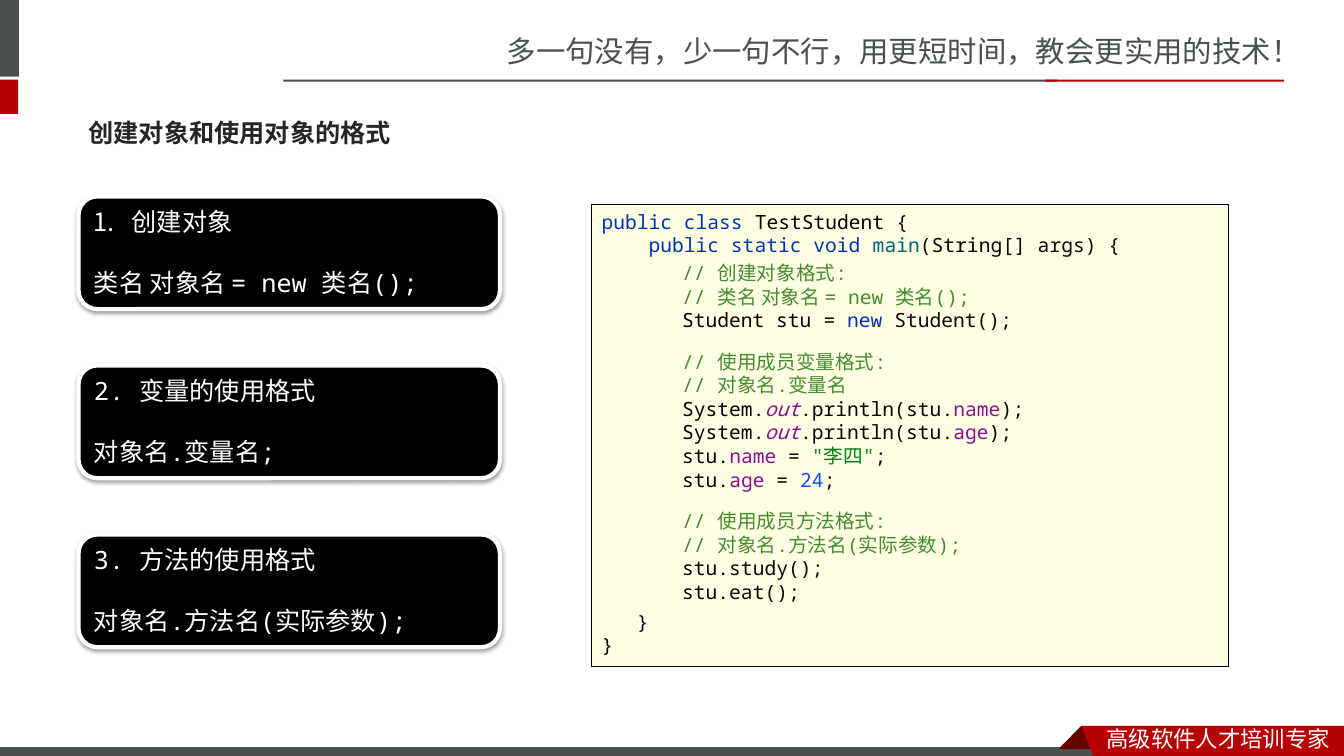
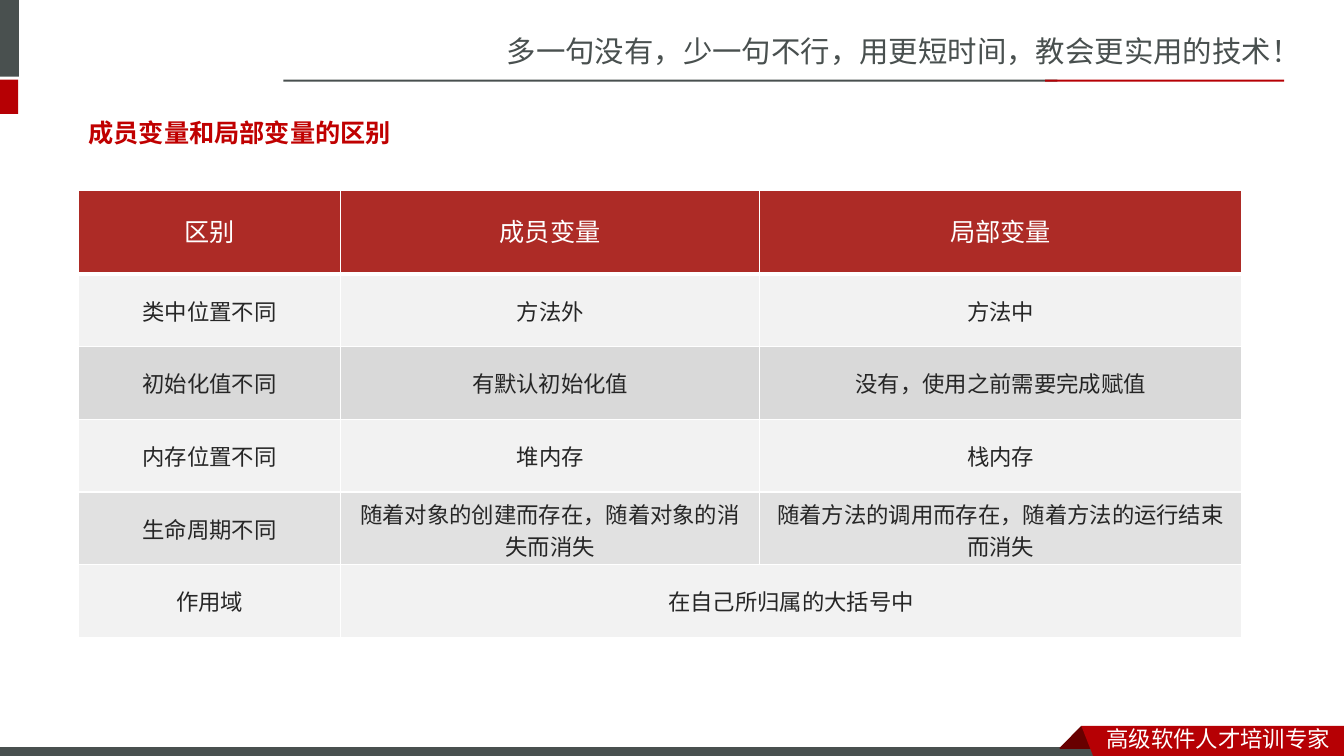
"""Build two slides on Java objects: usage formats and a comparison of variables."""
from lxml.etree import SubElement
from pptx import Presentation
from pptx.dml.color import RGBColor as Rgb
from pptx.enum.shapes import MSO_SHAPE as Kind
from pptx.enum.text import MSO_ANCHOR as Anchor, PP_ALIGN as Align
from pptx.oxml.ns import qn
from pptx.util import Cm, Pt


class Theme:
    gray, red, dark, white, black = "49504F", "B60004", "680000", "FFFFFF", "000000"
    text, alert, head, cream = "262626", "C00000", "AD2B26", "FFFFE4"
    bands = ["F2F2F2", "D9D9D9", "F2F2F2", "E1E1E1", "F2F2F2"]
    code = {"key": "0033B3", "type": "000000", "base": "080808", "call": "00627A",
            "note": "458C2F", "field": "871094", "out": "871094",
            "str": "067D17", "num": "1750EB"}
    cjk, mono, sans = "Noto Sans CJK SC", "Noto Sans Mono", "Roboto"
    slogan, title, body, small = Pt(21), Pt(18), Pt(16), Pt(14)
    pitch, tight = Pt(21.5), Pt(16.8)


def paint(shape, fill, line=None, width=1):
    """Give a shape a plain fill and an optional outline."""
    shape.shadow.inherit = False
    shape.fill.solid()
    shape.fill.fore_color.rgb = Rgb.from_string(fill)
    if line:
        shape.line.color.rgb = Rgb.from_string(line)
        shape.line.width = Pt(width)
    else:
        shape.line.fill.background()


def ink(para, size, tint, face, bold=None):
    """Format every run of a paragraph."""
    for run in para.runs:
        font = run.font
        font.size, font.name, font.bold = size, face, bold
        font.color.rgb = Rgb.from_string(tint)
        SubElement(run._r.get_or_add_rPr(), qn("a:ea"), typeface=Theme.cjk)


deck = Presentation()
deck.slide_width, deck.slide_height = Cm(33.87), Cm(19.05)

bars = [
    (0, 0, 0.48, 1.93, Theme.gray, None),
    (0, 2.01, 0.46, 0.86, Theme.red, None),
    (7.14, 2.01, 19.51, 0.05, Theme.gray, None),
    (26.34, 2.01, 6.02, 0.05, Theme.red, None),
    (-0.03, 18.82, 27.94, 0.3, Theme.gray, Theme.white),
]
flaps = [
    (Theme.dark, [(27.25, 18.29), (27.81, 18.85), (27.79, 18.87), (26.72, 18.87), (26.7, 18.85)]),
    (Theme.red, [(27.25, 18.29), (33.87, 18.29), (33.87, 19.15), (27.58, 19.13)]),
]
slides = []
for title, tint in [("创建对象和使用对象的格式", Theme.text), ("成员变量和局部变量的区别", Theme.alert)]:
    slide = deck.slides.add_slide(deck.slide_layouts[6])
    slides.append(slide)
    for *spot, fill, line in bars:
        paint(slide.shapes.add_shape(Kind.RECTANGLE, *map(Cm, spot)), fill, line, 0.75)
    for fill, points in flaps:
        first, *rest = [(Cm(x), Cm(y)) for x, y in points]
        path = slide.shapes.build_freeform(*first)
        path.add_line_segments(rest, close=True)
        paint(path.convert_to_shape(), fill)
    labels = [
        ((12.52, 0.71, 21.36, 1.19), "多一句没有，少一句不行，用更短时间，教会更实用的技术！",
         Theme.slogan, Theme.gray, Theme.cjk, None, Anchor.TOP),
        ((27.64, 18.16, 6.22, 0.94), "高级软件人才培训专家",
         Theme.body, Theme.white, Theme.cjk, None, Anchor.TOP),
        ((1.98, 2.62, 9.35, 1.45), title,
         Theme.title, tint, Theme.mono, True, Anchor.MIDDLE),
    ]
    for spot, text, size, color, face, bold, anchor in labels:
        frame = slide.shapes.add_textbox(*map(Cm, spot)).text_frame
        frame.word_wrap, frame.vertical_anchor = True, anchor
        frame.text = text
        ink(frame.paragraphs[0], size, color, face, bold)

usage, compare = slides

cards = [
    ("创建对象", "类名 对象名 = new 类名();"),
    ("2. 变量的使用格式", "对象名.变量名;"),
    ("3. 方法的使用格式", "对象名.方法名(实际参数);"),
]
for row, lines in enumerate(cards):
    card = usage.shapes.add_shape(Kind.ROUNDED_RECTANGLE, Cm(1.98), Cm(4.95 + 4.26 * row), Cm(10.62), Cm(2.84))
    paint(card, Theme.black, Theme.white, 3)
    glow = SubElement(card._element.spPr.find(qn("a:effectLst")), qn("a:outerShdw"),
                      blurRad="40000", dist="20000", dir="5400000", rotWithShape="0")
    color = SubElement(glow, qn("a:srgbClr"), val=Theme.black)
    SubElement(color, qn("a:alpha"), val="38000")
    frame = card.text_frame
    frame.vertical_anchor = Anchor.TOP
    frame.text = "\n".join(lines)
    for para in frame.paragraphs:
        para.alignment, para.line_spacing = Align.LEFT, Theme.pitch
        ink(para, Theme.title, Theme.white, Theme.mono)
    frame.paragraphs[1].space_before = Theme.pitch
    if row == 0:
        props = frame.paragraphs[0]._p.get_or_add_pPr()
        props.set("marL", str(Cm(0.95)))
        props.set("indent", str(-Cm(0.95)))
        SubElement(props, qn("a:buAutoNum"), type="arabicPeriod")

panel = usage.shapes.add_shape(Kind.RECTANGLE, Cm(14.91), Cm(5.16), Cm(16.05), Cm(11.63))
paint(panel, Theme.cream, Theme.black)
shell = [
    [("key", "public class "), ("type", "TestStudent "), ("base", "{")],
    [("key", "    public static void "), ("call", "main"), ("base", "("),
     ("type", "String"), ("base", "[] args) {")],
    [("base", "   }")],
    [("base", "}")],
]
create = [
    [("note", "// 创建对象格式:")],
    [("note", "// 类名 对象名 = new 类名();")],
    [("type", "Student stu "), ("base", "= "), ("key", "new "), ("base", "Student();")],
]
fields = [[("note", "// 使用成员变量格式:")], [("note", "// 对象名.变量名")]]
for name in ("name", "age"):
    fields.append([("type", "System"), ("base", "."), ("out", "out"), ("base", ".println("),
                   ("type", "stu"), ("base", "."), ("field", name), ("base", ");")])
for name, kind, value in [("name ", "str", '"李四"'), ("age ", "num", "24")]:
    fields.append([("type", "stu"), ("base", "."), ("field", name), ("base", "= "),
                   (kind, value), ("base", ";")])
calls = [[("note", "// 使用成员方法格式:")], [("note", "// 对象名.方法名(实际参数);")]]
for name in ("study", "eat"):
    calls.append([("type", "stu"), ("base", f".{name}();")])

blocks = [(panel, shell)]
for top, width, height, lines in [(6.45, 13.23, 2.06, create), (8.69, 12.6, 3.84, fields),
                                  (12.7, 11.4, 2.64, calls)]:
    blocks.append((usage.shapes.add_textbox(Cm(16.94), Cm(top), Cm(width), Cm(height)), lines))
for box, lines in blocks:
    frame = box.text_frame
    frame.word_wrap, frame.vertical_anchor = True, Anchor.TOP
    frame.text = "\n" * (len(lines) - 1)
    for para, line in zip(frame.paragraphs, lines):
        para.alignment, para.line_spacing = Align.LEFT, Theme.tight
        for kind, text in line:
            para.add_run().text = text
        ink(para, Theme.small, Theme.black, Theme.mono)
        for run, (kind, text) in zip(para.runs, line):
            run.font.color.rgb = Rgb.from_string(Theme.code[kind])
            if kind == "out":
                run.font.italic = True
panel.text_frame.paragraphs[2].space_before = Pt(252)

rows = [
    ("区别", "成员变量", "局部变量"),
    ("类中位置不同", "方法外", "方法中"),
    ("初始化值不同", "有默认初始化值", "没有，使用之前需要完成赋值"),
    ("内存位置不同", "堆内存", "栈内存"),
    ("生命周期不同", "随着对象的创建而存在，随着对象的消失而消失", "随着方法的调用而存在，随着方法的运行结束而消失"),
    ("作用域", "在自己所归属的大括号中", ""),
]
widths = [6.6, 10.57, 12.14]
heights = [2.11] + [1.83] * 5
grid = compare.shapes.add_table(len(rows), len(widths), Cm(1.98), Cm(4.8),
                                Cm(sum(widths)), Cm(sum(heights))).table
for col, width in zip(grid.columns, widths):
    col.width = Cm(width)
for r, (texts, height, fill) in enumerate(zip(rows, heights, [Theme.head] + Theme.bands)):
    grid.rows[r].height = Cm(height)
    for c, text in enumerate(texts):
        cell = grid.cell(r, c)
        cell.fill.solid()
        cell.fill.fore_color.rgb = Rgb.from_string(fill)
        cell.vertical_anchor = Anchor.MIDDLE
        cell.text_frame.text = text
        para = cell.text_frame.paragraphs[0]
        para.alignment = Align.CENTER
        if r == 0:
            para.line_spacing = Pt(24)
            ink(para, Theme.title, Theme.white, Theme.sans, False)
        else:
            ink(para, Theme.body, Theme.text, Theme.sans, False)
        props = cell._tc.get_or_add_tcPr()
        for i, side in enumerate(("lnL", "lnR", "lnT", "lnB")):
            thick = (r, side) in ((0, "lnB"), (1, "lnT"))
            edge = SubElement(props, qn(f"a:{side}"), w=str(Pt(3 if thick else 1)))
            SubElement(SubElement(edge, qn("a:solidFill")), qn("a:srgbClr"), val=Theme.white)
            props.insert(i, edge)
grid.cell(5, 1).merge(grid.cell(5, 2))

deck.save("out.pptx")
